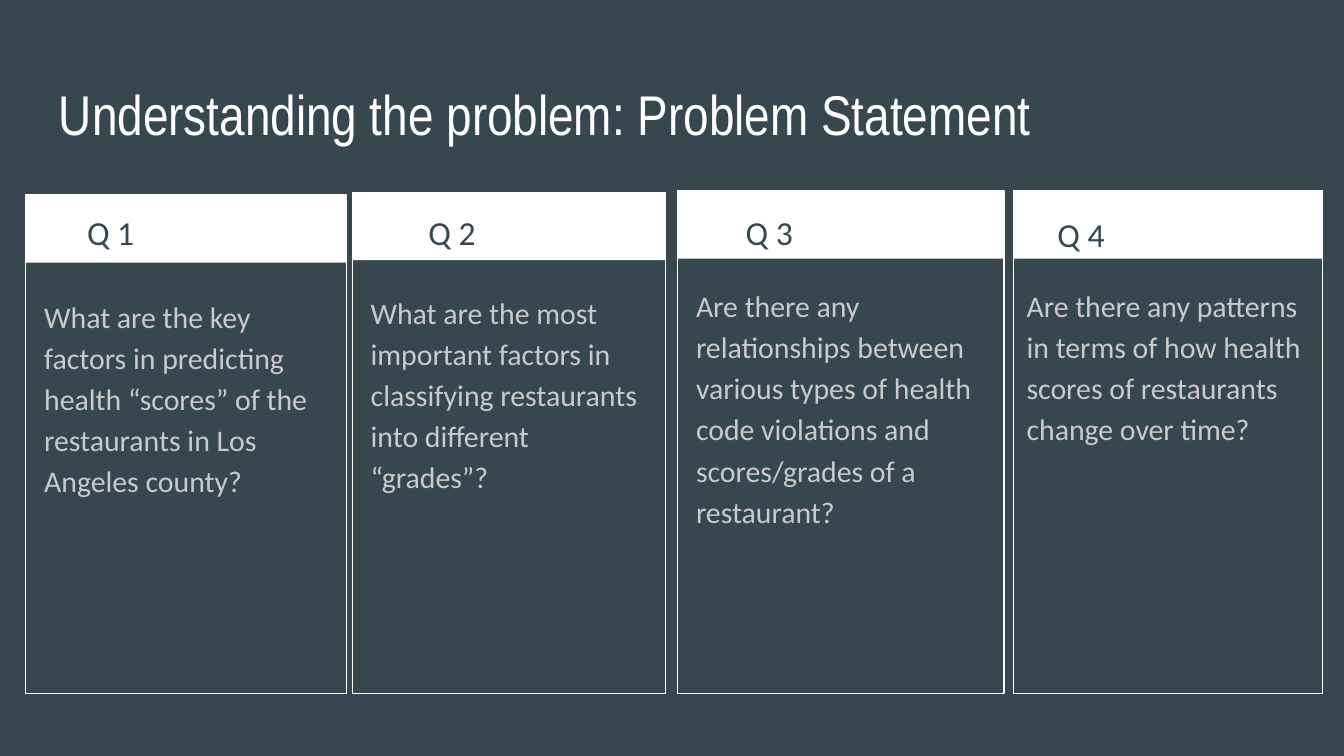
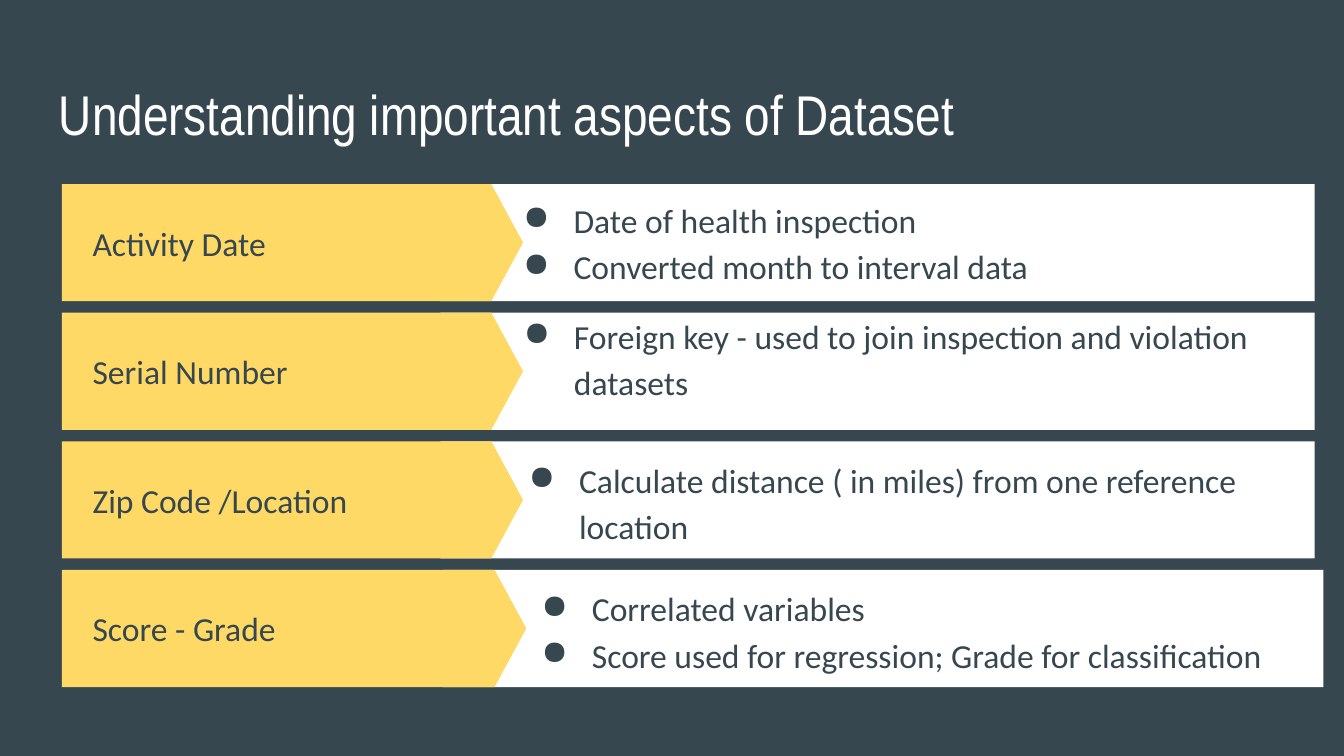
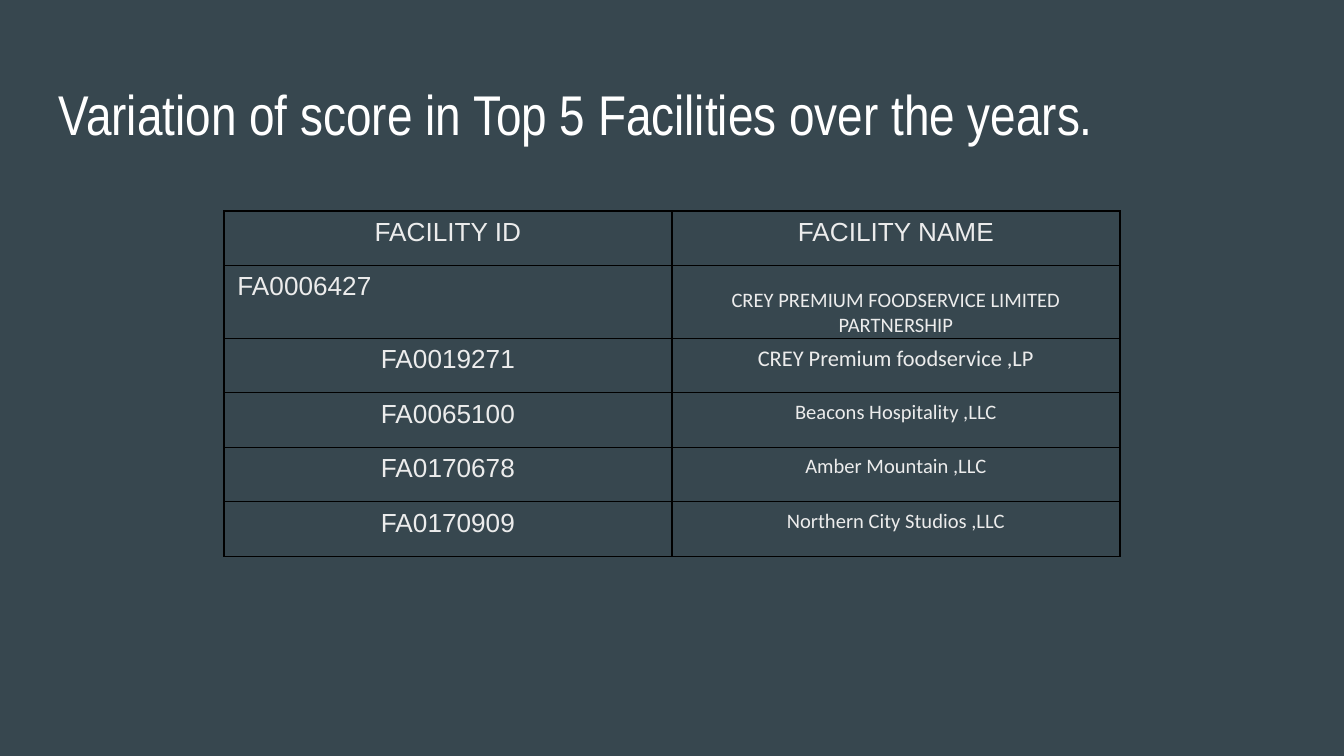
"""Build three slides on a restaurant health score study."""
from dataclasses import dataclass

from lxml.etree import SubElement
from pptx import Presentation
from pptx.dml.color import RGBColor
from pptx.enum.shapes import MSO_SHAPE
from pptx.enum.text import MSO_ANCHOR, PP_ALIGN
from pptx.oxml.ns import qn
from pptx.util import Pt


@dataclass(frozen=True)
class Theme:
    slate: str = "37474F"
    white: str = "FFFFFF"
    yellow: str = "FFD966"
    body_grey: str = "CACACA"
    table_grey: str = "ECECEC"
    black: str = "000000"
    title_font: str = "Arial Narrow"
    body_font: str = "Calibri"
    table_font: str = "Arial"
    title_size: int = 30
    label_size: int = 18
    body_size: int = 16
    table_size: int = 14
    line: float = 0.75
    inset: float = 7.2
    spacing: float = 1.15


THEME = Theme()

QUESTIONS_TITLE = "Understanding the problem: Problem Statement"
QUESTIONS = [
    {"label": "Q 1", "card": (13.7, 104.4, 172), "label_at": (39.6, 103), "text_at": (16.6, 149.8, 160),
     "text": "What are the key factors in predicting health “scores” of the restaurants in Los Angeles county?"},
    {"label": "Q 2", "card": (188.8, 103, 167.8), "label_at": (222.5, 103), "text_at": (191.5, 147.6, 160),
     "text": "What are the most important factors in classifying restaurants into different “grades”?"},
    {"label": "Q 3", "card": (362.9, 102.2, 175), "label_at": (392.4, 103), "text_at": (365.8, 144, 168.5),
     "text": "Are there any relationships between various types of health code violations and "
             "scores/grades of a restaurant?"},
    {"label": "Q 4", "card": (542.9, 102.2, 165.6), "label_at": (559.4, 104.4), "text_at": (542.9, 144, 168.5),
     "text": "Are there any patterns in terms of how health scores of restaurants change over time?"},
]
CARD_BOTTOM, CARD_HEADER = 371.5, 36.4

ASPECTS_TITLE = "Understanding important aspects of Dataset"
ASPECTS = [
    {"label": "Activity Date", "scale": 1, "text_at": (264.2, 98.3, 431.3),
     "points": ["Date of health inspection", "Converted month to interval data"]},
    {"label": "Serial Number", "scale": 1, "text_at": (264.4, 159.2, 421.2),
     "points": ["Foreign key - used to join inspection and violation datasets"]},
    {"label": "Zip Code /Location", "scale": 1, "text_at": (267.1, 236.4, 428.4),
     "points": ["Calculate distance ( in miles) from one reference location"]},
    {"label": "Score - Grade", "scale": 1.007, "text_at": (274, 305.3, 430.6),
     "points": ["Correlated variables", "Score used for regression; Grade for classification"]},
]
ASPECT_LEFT, ASPECT_TOP, ASPECT_PITCH, ASPECT_HEIGHT = 33.2, 98.6, 68.9, 62.8
ARROW_WIDTH, PANEL_OFFSET, PANEL_WIDTH = 247, 202.7, 468.4

FACILITIES_TITLE = "Variation of score in Top 5 Facilities over the years."
FACILITY_HEADER = ("FACILITY ID", "FACILITY NAME")
FACILITIES = [
    ("FA0006427", "CREY PREMIUM FOODSERVICE LIMITED PARTNERSHIP", 11),
    ("FA0019271", "CREY Premium foodservice ,LP", 12),
    ("FA0065100", "Beacons Hospitality ,LLC", 11),
    ("FA0170678", "Amber Mountain ,LLC", 11),
    ("FA0170909", "Northern City Studios ,LLC", 11),
]
TABLE_LEFT, TABLE_TOP, COLUMN_WIDTH, ROW_HEIGHT, TALL_ROW = 120, 113, 240, 29.2, 39


def points(*lengths):
    return [Pt(length) for length in lengths]


def color(value):
    return RGBColor.from_string(value)


def style_paragraph(para, size, font, ink):
    para.font.size = Pt(size)
    para.font.name = font
    para.font.color.rgb = color(ink)


def add_bullet(para, ink):
    properties = para._p.get_or_add_pPr()
    properties.set("marL", str(Pt(36)))
    properties.set("indent", str(-Pt(27)))
    SubElement(SubElement(properties, qn("a:buClr")), qn("a:srgbClr"), val=ink)
    SubElement(properties, qn("a:buChar"), char="●")


def add_text(page, place, lines, size, ink, font=THEME.body_font,
             anchor=MSO_ANCHOR.TOP, spacing=THEME.spacing, bullets=False):
    frame = page.shapes.add_textbox(*points(*place)).text_frame
    frame.word_wrap = True
    frame.vertical_anchor = anchor
    frame.margin_left = frame.margin_right = Pt(THEME.inset)
    frame.margin_top = frame.margin_bottom = Pt(THEME.inset)
    frame.text = "\n".join(lines)
    for para in frame.paragraphs:
        para.line_spacing = spacing
        if bullets:
            add_bullet(para, ink)
        style_paragraph(para, size, font, ink)


def add_box(page, place, fill=None, line=None, kind=MSO_SHAPE.RECTANGLE):
    box = page.shapes.add_shape(kind, *points(*place))
    box.shadow.inherit = False
    if fill:
        box.fill.solid()
        box.fill.fore_color.rgb = color(fill)
    else:
        box.fill.background()
    if line:
        box.line.color.rgb = color(line)
        box.line.width = Pt(THEME.line)
    else:
        box.line.fill.background()
    return box


def add_page(deck, title):
    page = deck.slides.add_slide(deck.slide_layouts[6])
    page.background.fill.solid()
    page.background.fill.fore_color.rgb = color(THEME.slate)
    add_text(page, (24.5, 35.3, 671, 45.4), [title], THEME.title_size, THEME.white,
             THEME.title_font, spacing=1)
    return page


def build_questions(deck):
    page = add_page(deck, QUESTIONS_TITLE)
    for question in QUESTIONS:
        left, top, width = question["card"]
        add_box(page, (left, top, width, CARD_HEADER), fill=THEME.white)
        add_box(page, (left, top, width, CARD_BOTTOM - top), line=THEME.white)
        add_text(page, (*question["label_at"], 105, 36), [question["label"]],
                 THEME.label_size, THEME.slate)
        add_text(page, (*question["text_at"], 216), [question["text"]],
                 THEME.body_size, THEME.body_grey)


def build_aspects(deck):
    page = add_page(deck, ASPECTS_TITLE)
    for index, aspect in enumerate(ASPECTS):
        top = ASPECT_TOP + index * ASPECT_PITCH
        scale = aspect["scale"]
        add_box(page, (ASPECT_LEFT + PANEL_OFFSET * scale, top, PANEL_WIDTH * scale, ASPECT_HEIGHT),
                fill=THEME.white)
        arrow = add_box(page, (ASPECT_LEFT, top, ARROW_WIDTH * scale, ASPECT_HEIGHT),
                        fill=THEME.yellow, kind=MSO_SHAPE.PENTAGON)
        arrow.adjustments[0] = 0.27
        add_text(page, (42.5, top, 190.8, ASPECT_HEIGHT), [aspect["label"]],
                 THEME.label_size, THEME.slate, anchor=MSO_ANCHOR.MIDDLE, spacing=1)
        height = 52.6 if index == 0 else ASPECT_HEIGHT
        left, text_top, width = aspect["text_at"]
        add_text(page, (left, text_top + (4 if index == 0 else 0), width, height), aspect["points"],
                 THEME.label_size, THEME.slate, anchor=MSO_ANCHOR.MIDDLE, bullets=True)


def fill_cell(cell, text, size, font):
    properties = cell._tc.get_or_add_tcPr()
    for side in ("lnL", "lnR", "lnT", "lnB"):
        border = SubElement(properties, qn(f"a:{side}"), w=str(Pt(THEME.line)))
        SubElement(SubElement(border, qn("a:solidFill")), qn("a:srgbClr"), val=THEME.black)
    cell.fill.background()
    cell.text = text
    para = cell.text_frame.paragraphs[0]
    para.alignment = PP_ALIGN.CENTER
    style_paragraph(para, size, font, THEME.table_grey)


def build_facilities(deck):
    page = add_page(deck, FACILITIES_TITLE)
    row_count = len(FACILITIES) + 1
    table = page.shapes.add_table(row_count, 2, *points(
        TABLE_LEFT, TABLE_TOP, 2 * COLUMN_WIDTH, row_count * ROW_HEIGHT)).table
    table.first_row = table.horz_banding = False
    for row in table.rows:
        row.height = Pt(ROW_HEIGHT)
    table.rows[1].height = Pt(TALL_ROW)
    for column, heading in enumerate(FACILITY_HEADER):
        fill_cell(table.cell(0, column), heading, THEME.table_size, THEME.table_font)
    for index, (code, name, size) in enumerate(FACILITIES, start=1):
        fill_cell(table.cell(index, 0), code, THEME.table_size, THEME.table_font)
        fill_cell(table.cell(index, 1), name, size, THEME.body_font)
    table.cell(1, 0).text_frame.paragraphs[0].alignment = PP_ALIGN.LEFT
    long_name = table.cell(1, 1)
    long_name.vertical_anchor = MSO_ANCHOR.BOTTOM
    long_name.margin_top = long_name.margin_bottom = Pt(0)


def main():
    deck = Presentation()
    deck.slide_width, deck.slide_height = points(720, 405)
    build_questions(deck)
    build_aspects(deck)
    build_facilities(deck)
    deck.save("out.pptx")


if __name__ == "__main__":
    main()
